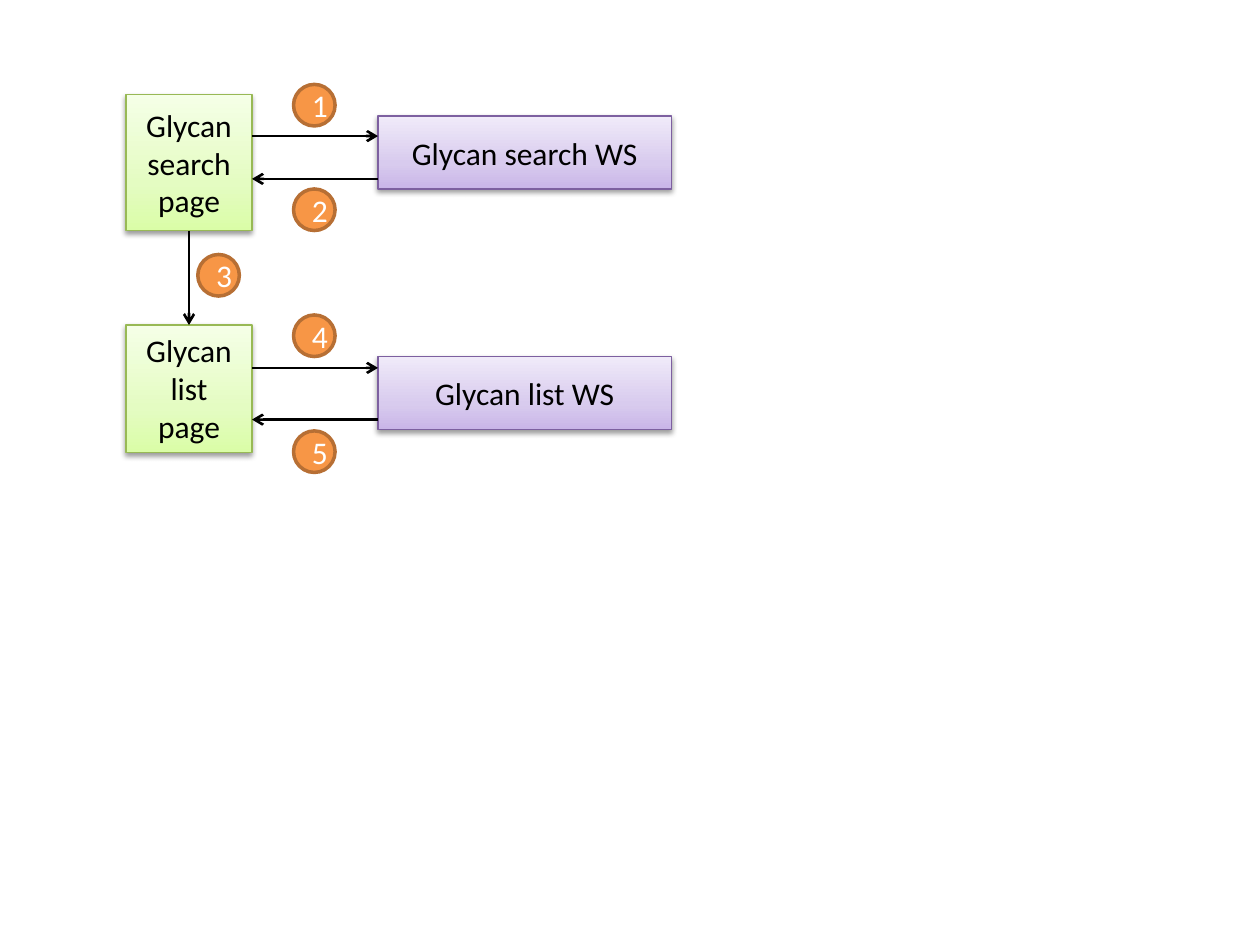
from typing import NamedTuple

from lxml.etree import SubElement
from pptx import Presentation
from pptx.dml.color import RGBColor
from pptx.enum.shapes import MSO_CONNECTOR as CONN, MSO_SHAPE as SHAPE
from pptx.enum.text import MSO_ANCHOR as ANCHOR, MSO_AUTO_SIZE as AUTO, PP_ALIGN as ALIGN
from pptx.oxml.ns import qn
from pptx.util import Inches, Pt


class Palette(NamedTuple):
    stops: tuple
    line: str


class Box(NamedTuple):
    x: float
    y: float
    w: float
    h: float
    palette: Palette
    text: str = ""


class Label(NamedTuple):
    y: float
    lines: tuple


class Arrow(NamedTuple):
    x1: float
    y1: float
    x2: float
    y2: float


class Step(NamedTuple):
    x: float
    y: float


GREEN = Palette(((0, "DAFDA7"), (35, "E4FCC2"), (100, "F5FFE7")), "98B955")
PURPLE = Palette(((0, "C9B5E8"), (35, "D8CBEE"), (100, "F0EAF9")), "7D60A0")
PAGE_X, PAGE_W = 1, 1
PAGE_RIGHT = PAGE_X + PAGE_W
PAGE_MID = PAGE_X + PAGE_W / 2
WS_X, WS_W, WS_H = 3, 2.33, 0.58
STEP_X, STEP_D = 2.33, 0.33

BOXES = [
    Box(PAGE_X, 0.75, PAGE_W, 1.08, GREEN),
    Box(PAGE_X, 2.58, PAGE_W, 1.01, GREEN),
    Box(WS_X, 0.92, WS_W, WS_H, PURPLE, "Glycan search WS"),
    Box(WS_X, 2.83, WS_W, WS_H, PURPLE, "Glycan list WS"),
]
LABELS = [
    Label(0.79, ("Glycan", "search", "page")),
    Label(2.58, ("Glycan", "list", "page")),
]
ARROWS = [
    *(Arrow(PAGE_RIGHT, y, WS_X, y) for y in (1.08, 2.92)),
    *(Arrow(WS_X, y, PAGE_RIGHT, y) for y in (1.42, 3.33)),
    Arrow(PAGE_MID, 1.83, PAGE_MID, 2.58),
]
STEPS = [Step(STEP_X, 0.67), Step(STEP_X, 1.5), Step(1.57, 2.02),
         Step(STEP_X, 2.5), Step(STEP_X, 3.42)]


def rgb(value: str) -> RGBColor:
    return RGBColor.from_string(value)


def write(tf, lines: tuple, color: str) -> None:
    for i, line in enumerate(lines):
        p = tf.paragraphs[0] if i == 0 else tf.add_paragraph()
        p.alignment = ALIGN.CENTER
        r = p.add_run()
        r.text = line
        for name, value in {"name": "Calibri", "size": Pt(18)}.items():
            setattr(r.font, name, value)
        r.font.color.rgb = rgb(color)


def set_line(line, color: str, width: float) -> None:
    line.color.rgb = rgb(color)
    line.width = Pt(width)


def add_color(parent, value: str):
    return SubElement(parent, qn("a:srgbClr"), val=value)


def set_gradient(sp, stops: tuple) -> None:
    sp.fill.gradient()
    sp.fill.gradient_angle = 90
    gs_lst = sp._element.spPr.find(qn("a:gradFill")).find(qn("a:gsLst"))
    for gs in list(gs_lst):
        gs_lst.remove(gs)
    for pos, color in stops:
        add_color(SubElement(gs_lst, qn("a:gs"), pos=str(pos * 1000)), color)


def set_shadow(sp) -> None:
    effects = sp._element.spPr.find(qn("a:effectLst"))
    shadow = SubElement(effects, qn("a:outerShdw"), blurRad=str(Pt(3.1)),
                        dist=str(Pt(1.6)), dir="5400000", rotWithShape="0")
    SubElement(add_color(shadow, "000000"), qn("a:alpha"), val="38000")


def add_shape(slide, kind, x: float, y: float, w: float, h: float):
    sp = slide.shapes.add_shape(kind, Inches(x), Inches(y), Inches(w), Inches(h))
    sp.shadow.inherit = False
    sp.text_frame.word_wrap = True
    sp.text_frame.vertical_anchor = ANCHOR.MIDDLE
    return sp


def draw_box(slide, box: Box) -> None:
    sp = add_shape(slide, SHAPE.RECTANGLE, box.x, box.y, box.w, box.h)
    set_gradient(sp, box.palette.stops)
    set_line(sp.line, box.palette.line, 0.75)
    set_shadow(sp)
    if box.text:
        write(sp.text_frame, (box.text,), "000000")


def draw_label(slide, label: Label) -> None:
    w = 0.89
    sp = slide.shapes.add_textbox(Inches(PAGE_MID - w / 2), Inches(label.y),
                                  Inches(w), Inches(1.01))
    tf = sp.text_frame
    for name, value in {"word_wrap": False, "auto_size": AUTO.SHAPE_TO_FIT_TEXT}.items():
        setattr(tf, name, value)
    write(tf, label.lines, "000000")


def draw_arrow(slide, arrow: Arrow) -> None:
    cx = slide.shapes.add_connector(CONN.STRAIGHT, *(Inches(v) for v in arrow))
    set_line(cx.line, "000000", 1.5)
    sp_pr = cx._element.spPr
    SubElement(sp_pr.find(qn("a:ln")), qn("a:tailEnd"), type="arrow")
    SubElement(sp_pr, qn("a:effectLst"))


def draw_step(slide, step: Step, number: int) -> None:
    sp = add_shape(slide, SHAPE.OVAL, step.x, step.y, STEP_D, STEP_D)
    sp.fill.solid()
    sp.fill.fore_color.rgb = rgb("F79646")
    set_line(sp.line, "B76F34", 2)
    write(sp.text_frame, (str(number),), "FFFFFF")


def main() -> None:
    prs = Presentation()
    prs.slide_width, prs.slide_height = Inches(10), Inches(7.5)
    slide = prs.slides.add_slide(prs.slide_layouts[6])
    for box in BOXES:
        draw_box(slide, box)
    for label in LABELS:
        draw_label(slide, label)
    for arrow in ARROWS:
        draw_arrow(slide, arrow)
    for number, step in enumerate(STEPS, 1):
        draw_step(slide, step, number)
    prs.save("out.pptx")


if __name__ == "__main__":
    main()
